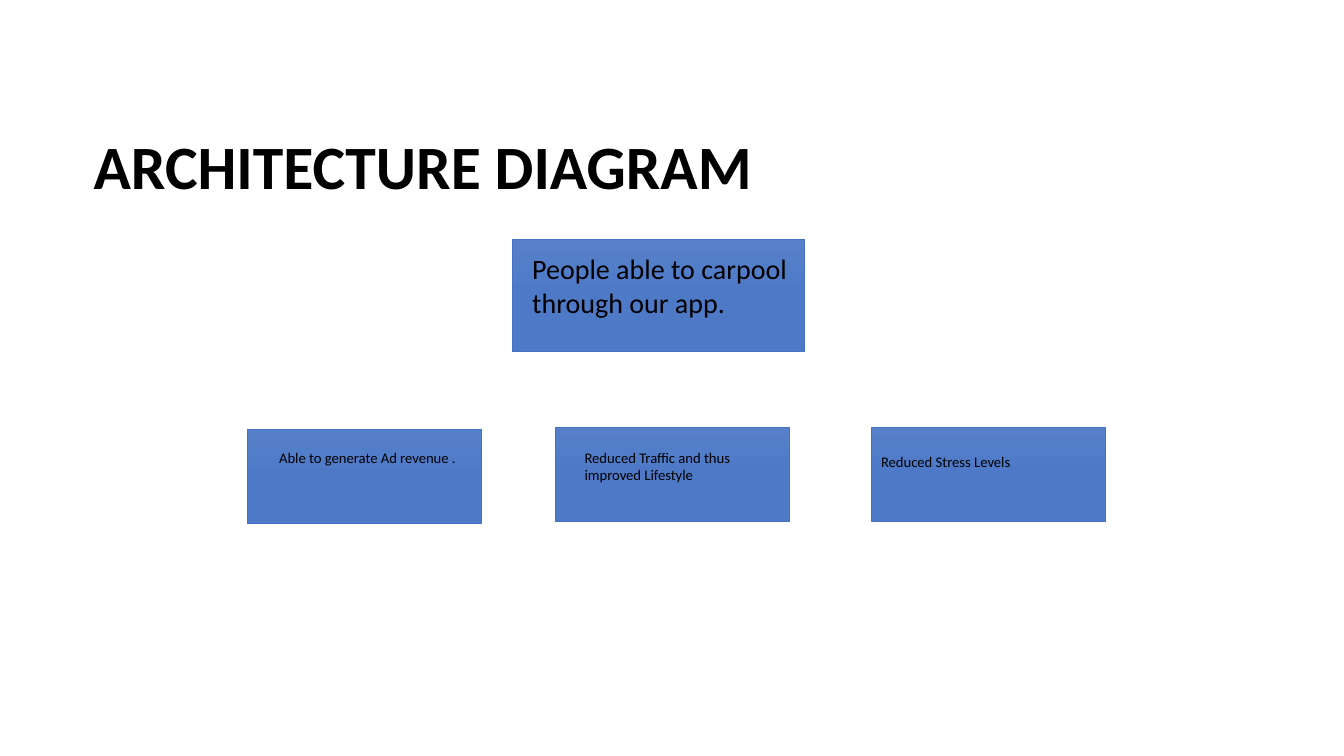
"""Build the architecture diagram slide: one main process and its three benefits."""
from pptx import Presentation
from pptx.dml.color import RGBColor
from pptx.enum.shapes import MSO_SHAPE
from pptx.util import Inches, Pt

PROCESS = MSO_SHAPE.FLOWCHART_PROCESS

THEME = {
    "font": "Calibri",
    "text": RGBColor.from_string("000000"),
    "gradient": ((0, RGBColor.from_string("5780CA")), (0.5, RGBColor.from_string("4D79C7"))),
    "line": RGBColor.from_string("4472C4"),
    "line_width": Pt(0.5),
    "title": Pt(44),
    "main": Pt(20),
    "benefit": Pt(10.5),
}

TITLE = ("ARCHITECTURE DIAGRAM", (0.83, 1.22, 9.8, 0.84))
MAIN = {
    "lines": ["People able to carpool", "through our app. "],
    "box": (5.08, 2.37, 2.9, 1.12),
    "label": (5.18, 2.45, 2.8, 1.5),
}
BENEFIT_SIZE = (2.32, 0.93)
BENEFITS = [
    ("Able to generate Ad revenue .", (2.45, 4.26), (2.67, 4.4, 2.09, 0.66)),
    ("Reduced Traffic and thus improved Lifestyle", (5.51, 4.24), (5.7, 4.4, 1.93, 0.61)),
    ("Reduced Stress Levels", (8.64, 4.24), (8.64, 4.44, 2.03, 0.52)),
]


def add_label(slide, lines, area, size, bold=False):
    """Write the lines as paragraphs in a wrapping text box."""
    frame = slide.shapes.add_textbox(*map(Inches, area)).text_frame
    frame.word_wrap = True
    for index, line in enumerate(lines):
        paragraph = frame.add_paragraph() if index else frame.paragraphs[0]
        run = paragraph.add_run()
        run.text = line
        run.font.name = THEME["font"]
        run.font.size = size
        run.font.bold = bold
        run.font.color.rgb = THEME["text"]


def add_process(slide, area):
    """Draw a process box shaded from top to bottom."""
    process = slide.shapes.add_shape(PROCESS, *map(Inches, area))
    process.shadow.inherit = False
    process.fill.gradient()
    process.fill.gradient_angle = 270
    for stop, (position, color) in zip(process.fill.gradient_stops, THEME["gradient"]):
        stop.position = position
        stop.color.rgb = color
    process.line.color.rgb = THEME["line"]
    process.line.width = THEME["line_width"]


def build():
    """Assemble and save the slide."""
    deck = Presentation()
    deck.slide_width, deck.slide_height = Inches(13.33), Inches(7.5)
    slide = deck.slides.add_slide(deck.slide_layouts[6])

    heading, heading_area = TITLE
    add_label(slide, [heading], heading_area, THEME["title"], bold=True)
    add_process(slide, MAIN["box"])
    add_label(slide, MAIN["lines"], MAIN["label"], THEME["main"])
    for benefit, corner, label_area in BENEFITS:
        add_process(slide, corner + BENEFIT_SIZE)
        add_label(slide, [benefit], label_area, THEME["benefit"])

    deck.save("out.pptx")


build()
